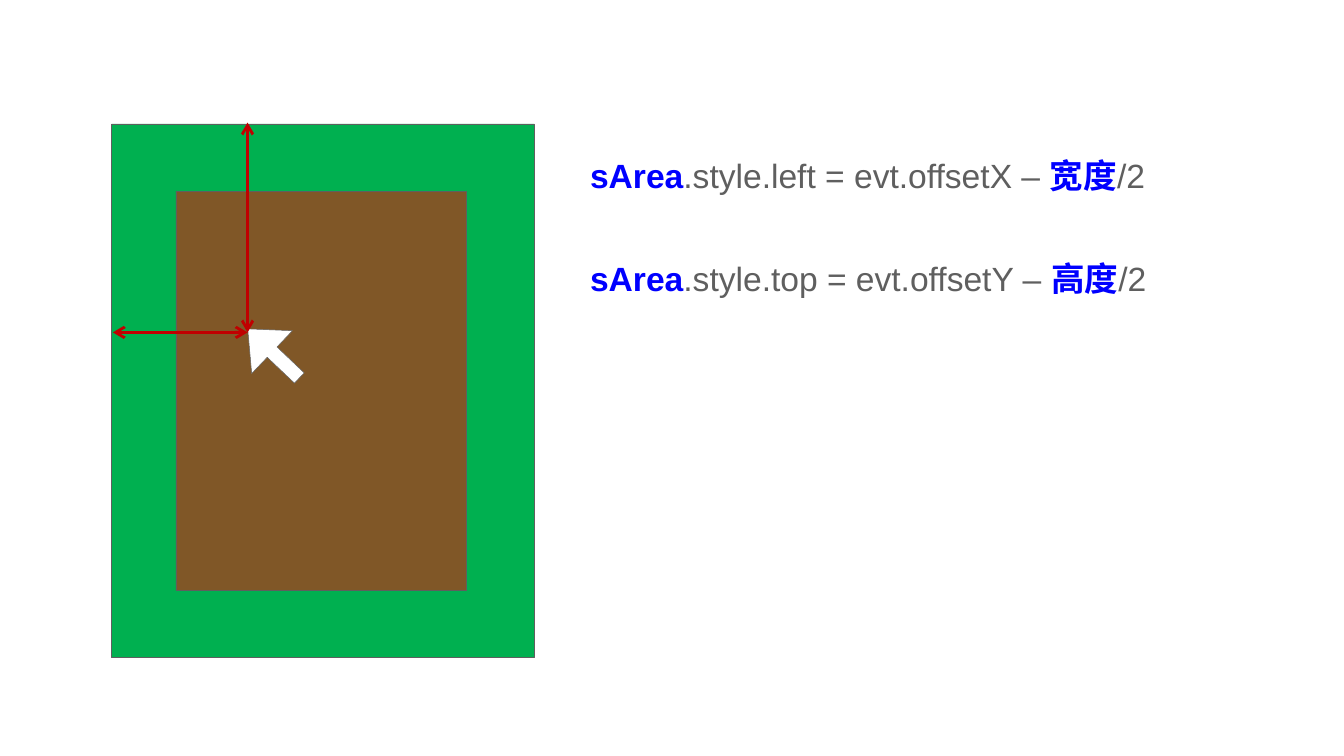
import pptx
import pptx.util
import pptx.dml.color
import pptx.enum.shapes
import pptx.enum.text
import pptx.oxml
import pptx.oxml.ns
import lxml.etree

# A 16:9 slide
deck = pptx.Presentation()
deck.slide_width = pptx.util.Inches(10)
deck.slide_height = deck.slide_width * 9 // 16
slide = deck.slides.add_slide(deck.slide_layouts[6])
kinds = pptx.enum.shapes.MSO_SHAPE
qn = pptx.oxml.ns.qn


def place(*shares):
    """Turn x, y, x, y percentages of the slide into lengths."""
    sides = (deck.slide_width, deck.slide_height) * 2
    return [int(side * share / 100) for side, share in zip(sides, shares)]


def paint(target, code):
    """Set the colour of a fill, line or font from a hex string."""
    if hasattr(target, "solid"):
        target.solid()
        target = target.fore_color
    else:
        target = target.color
    target.rgb = pptx.dml.color.RGBColor.from_string(code)


# Outer area, moving area and mouse pointer
shapes = []
for kind, spot, code in [
    (kinds.RECTANGLE, (8.3, 16.4, 31.46, 70.6), "00B050"),
    (kinds.RECTANGLE, (13.1, 25.28, 21.6, 52.83), "FF0000"),
    (kinds.LEFT_ARROW, (17.7, 42.85, 5.3, 7.82), "FFFFFF"),
]:
    shape = slide.shapes.add_shape(kind, *place(*spot))
    shape.shadow.inherit = False
    paint(shape.fill, code)
    paint(shape.line, "5F5F5F")
    shape.line.width = pptx.util.Pt(0.25)
    shapes.append(shape)
outer, inner, mouse = shapes

tint = inner.fill._xPr.find(".//" + qn("a:srgbClr"))
lxml.etree.SubElement(tint, qn("a:alpha")).set("val", "50000")
mouse.rotation = 43.6
mouse.adjustments[0] = 0.24
mouse.adjustments[1] = 0.57

# Offset arrows, meeting at the pointer tip
tip = (18.42, 43.97)
for start in [(8.4, 43.97), (18.42, 16.22)]:
    arrow = slide.shapes.add_connector(
        pptx.enum.shapes.MSO_CONNECTOR.STRAIGHT, *place(*start, *tip))
    paint(arrow.line, "C00000")
    arrow.line.width = pptx.util.Pt(1.5)
    edge = arrow.line._get_or_add_ln()
    for end in ("a:headEnd", "a:tailEnd"):
        lxml.etree.SubElement(edge, qn(end)).set("type", "arrow")
    lxml.etree.SubElement(arrow._element.spPr, qn("a:effectLst"))

# Formulas
for top, rule, size in [
    (19.6, ".style.left = evt.offsetX – ", "宽度"),
    (33.3, ".style.top = evt.offsetY – ", "高度"),
]:
    box = slide.shapes.add_textbox(*place(42.92, top, 43.7, 7.11))
    frame = box.text_frame
    frame.word_wrap = True
    frame.auto_size = pptx.enum.text.MSO_AUTO_SIZE.SHAPE_TO_FIT_TEXT
    for part in ("sArea", rule, size, "/2"):
        run = frame.paragraphs[0].add_run()
        run.text = part
        strong = part in ("sArea", size)
        run.font.name = "Arial"
        run.font.size = pptx.util.Pt(18)
        run.font.bold = strong
        paint(run.font, "0000FF" if strong else "5F5F5F")

deck.save("out.pptx")
